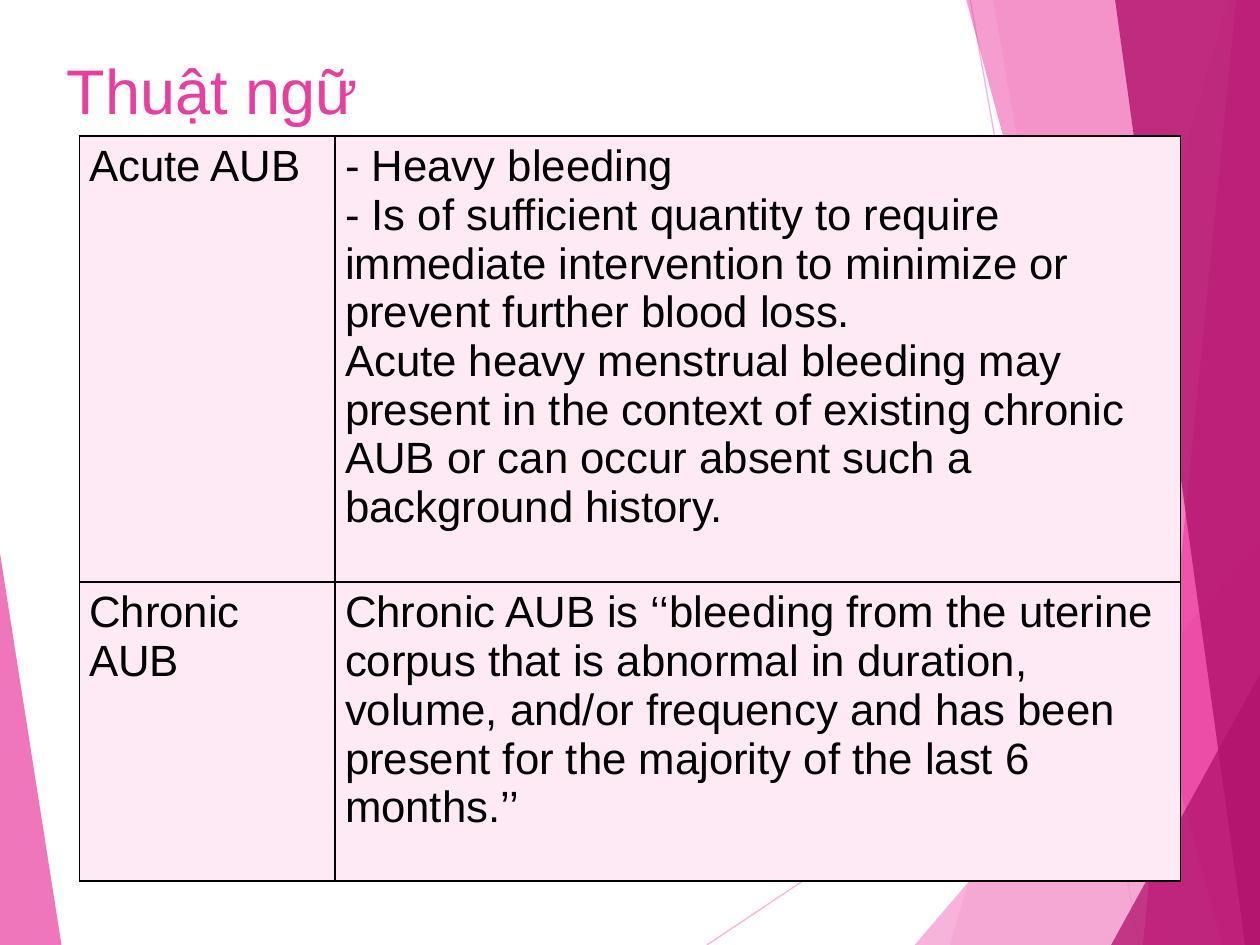
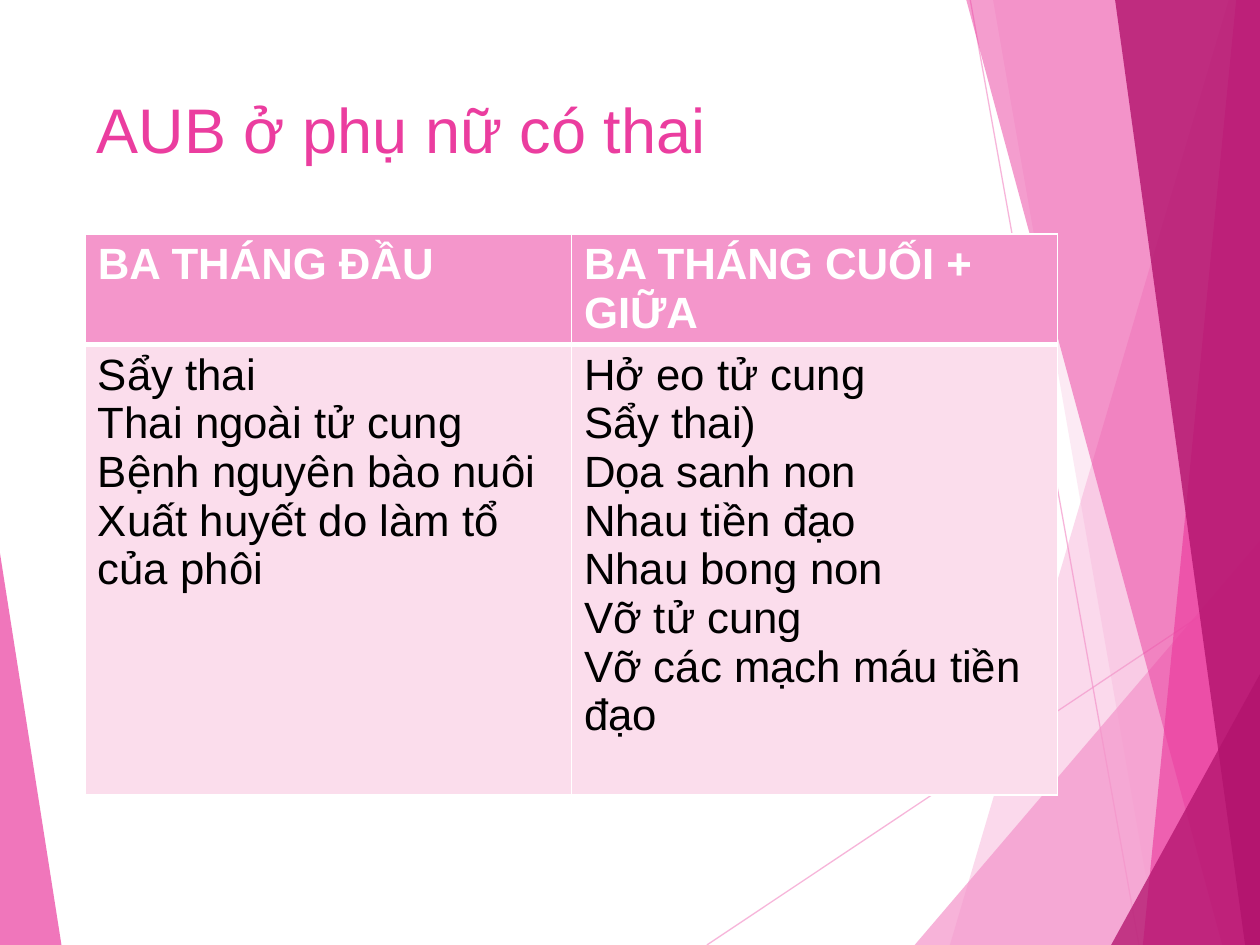
import collections

import lxml.etree
import pptx
import pptx.dml.color
import pptx.enum.shapes
import pptx.enum.text
import pptx.oxml.ns
import pptx.util

Box = collections.namedtuple("Box", "left top width height")
Cm = pptx.util.Cm
qn = pptx.oxml.ns.qn

COLORS = {
    "light_pink": "F496CB",
    "pink": "EB3D9F",
    "magenta": "B2136D",
    "term_cell": "FDEAF5",
    "cause_cell": "FBDDEC",
    "white": "FFFFFF",
    "black": "000000",
}
FONT = "Arial"
PAGE = Box(0, 0, 25.4, 19.05)

RAYS = [((14.25, 19.05), (25.4, 11.61)), ((19.56, 0), (22.96, 19.05))]
FACETS = [
    ("light_pink", 36, [(24.77, 0), (19.15, 19.05), (25.4, 19.05), (25.4, 0)]),
    ("light_pink", 20, [(20.02, 0), (23.34, 19.05), (25.4, 19.05), (25.4, 0)]),
    ("light_pink", 72, [(18.44, 19.05), (25.4, 10.9), (25.4, 19.05)]),
    ("pink", 50, [(19.48, 0), (24.64, 19.05), (25.4, 19.05), (25.4, 0)]),
    ("pink", 66, [(24.92, 0), (23.04, 19.05), (25.4, 19.05), (25.4, 0)]),
    ("magenta", 80, [(22.48, 0), (25.1, 19.05), (25.4, 19.05), (25.4, 0)]),
    ("magenta", 76, [(22.4, 19.05), (25.4, 13.59), (25.4, 19.05)]),
    ("pink", 70, [(0, 11.15), (1.24, 19.05), (0, 19.05)]),
]

TERMS = [
    ["Acute AUB",
     "- Heavy bleeding\n"
     "- Is of sufficient quantity to require immediate intervention to minimize "
     "or prevent further blood loss.\n"
     "Acute heavy menstrual bleeding may present in the context of existing "
     "chronic AUB or can occur absent such a background history."],
    ["Chronic AUB",
     "Chronic AUB is ‘‘bleeding from the uterine corpus that is abnormal in "
     "duration, volume, and/or frequency and has been present for the majority "
     "of the last 6 months.’’"],
]
CAUSES = [
    ["BA THÁNG ĐẦU", "BA THÁNG CUỐI + GIỮA"],
    ["Sẩy thai\nThai ngoài tử cung\nBệnh nguyên bào nuôi\n"
     "Xuất huyết do làm tổ của phôi",
     "Hở eo tử cung\nSẩy thai)\nDọa sanh non\nNhau tiền đạo\nNhau bong non\n"
     "Vỡ tử cung\nVỡ các mạch máu tiền đạo"],
]


def rgb(name):
    """Return the named colour."""
    return pptx.dml.color.RGBColor.from_string(COLORS[name])


def set_opacity(shape, percent):
    """Make the only solid colour of a shape partly transparent."""
    color = shape.element.xpath("./p:spPr//a:solidFill/a:srgbClr")[0]
    lxml.etree.SubElement(color, qn("a:alpha"), val=str(percent * 1000))


def add_ray(slide, box, start, end):
    """Draw one thin line across the box."""
    ends = [Cm(value) for x, y in (start, end)
            for value in (box.left + x, box.top + y)]
    ray = slide.shapes.add_connector(
        pptx.enum.shapes.MSO_CONNECTOR.STRAIGHT, *ends)
    ray.line.color.rgb = rgb("light_pink")
    ray.line.width = pptx.util.Pt(0.75)
    set_opacity(ray, 70)
    lxml.etree.SubElement(ray.element.spPr, qn("a:effectLst"))
    return ray


def add_facet(slide, box, color, opacity, corners):
    """Draw one translucent polygon in the box."""
    points = [(Cm(box.left + x), Cm(box.top + y)) for x, y in corners]
    builder = slide.shapes.build_freeform(*points[0])
    builder.add_line_segments(points[1:], close=True)
    facet = builder.convert_to_shape()
    facet.shadow.inherit = False
    facet.line.fill.background()
    facet.fill.solid()
    facet.fill.fore_color.rgb = rgb(color)
    set_opacity(facet, opacity)
    return facet


def decorate_layout(slide, box):
    """Draw the facets and move them behind everything on the slide's layout."""
    shapes = [add_ray(slide, box, *ray) for ray in RAYS]
    shapes += [add_facet(slide, box, *facet) for facet in FACETS]
    tree = slide.slide_layout.shapes.element
    for index, shape in enumerate(shapes):
        shape.element.xpath("./*/p:cNvPr")[0].set("id", str(100 + index))
        tree.insert(2 + index, shape.element)


def format_text(text_frame, size, color, bold=False):
    """Left-align a text frame and style all its runs."""
    for paragraph in text_frame.paragraphs:
        paragraph.alignment = pptx.enum.text.PP_ALIGN.LEFT
        for run in paragraph.runs:
            run.font.name = FONT
            run.font.size = pptx.util.Pt(size)
            run.font.bold = bold
            run.font.color.rgb = rgb(color)


def add_title(slide, box, text):
    """Place and style the title placeholder."""
    title = slide.shapes.title
    title.left, title.top, title.width, title.height = map(Cm, box)
    title.text_frame.text = text
    title.text_frame.word_wrap = True
    title.text_frame.auto_size = pptx.enum.text.MSO_AUTO_SIZE.NONE
    title.text_frame.vertical_anchor = pptx.enum.text.MSO_ANCHOR.TOP
    format_text(title.text_frame, 36, "pink")


def set_borders(cell, color, widths):
    """Give the left, right, top and bottom edges of a cell their widths."""
    properties = cell._tc.get_or_add_tcPr()
    for side, width in zip("LRTB", widths):
        line = lxml.etree.SubElement(
            properties, qn(f"a:ln{side}"), w=str(pptx.util.Pt(width)))
        fill = lxml.etree.SubElement(line, qn("a:solidFill"))
        lxml.etree.SubElement(fill, qn("a:srgbClr"), val=COLORS[color])


def add_table(slide, box, rows, columns, heights):
    """Add a plain table whose columns and rows share out the box."""
    table = slide.shapes.add_table(
        len(rows), len(columns), *map(Cm, box)).table
    table.first_row = table.horz_banding = False
    for column, share in zip(table.columns, columns):
        column.width = Cm(box.width * share / sum(columns))
    for row, share in zip(table.rows, heights):
        row.height = Cm(box.height * share / sum(heights))
    for row, texts in zip(table.rows, rows):
        for cell, text in zip(row.cells, texts):
            cell.text_frame.text = text
    return table


def fill_cell(cell, color):
    """Fill a cell with one colour."""
    cell.fill.solid()
    cell.fill.fore_color.rgb = rgb(color)


def add_terms_table(slide, box):
    """Add the table of terms and their definitions."""
    table = add_table(slide, box, TERMS, [2.03, 6.71], [3.54, 2.37])
    for cell in table.iter_cells():
        cell.margin_left = cell.margin_right = Cm(0.2)
        set_borders(cell, "black", [1, 1, 1, 1])
        fill_cell(cell, "term_cell")
        format_text(cell.text_frame, 25, "black")


def add_causes_table(slide, box):
    """Add the table of causes by stage of pregnancy."""
    table = add_table(slide, box, CAUSES, [1, 1], [0.87, 3.58])
    table.first_row = True
    for cell in table.rows[0].cells:
        set_borders(cell, "white", [1, 1, 1, 3])
        fill_cell(cell, "light_pink")
        format_text(cell.text_frame, 25, "white", bold=True)
    for cell in table.rows[1].cells:
        set_borders(cell, "white", [1, 1, 3, 1])
        fill_cell(cell, "cause_cell")
        format_text(cell.text_frame, 25, "black")


def main():
    """Build and save the presentation."""
    presentation = pptx.Presentation()
    presentation.slide_width = Cm(PAGE.width)
    presentation.slide_height = Cm(PAGE.height)
    layout = presentation.slide_layouts.get_by_name("Title Only")

    terms_slide = presentation.slides.add_slide(layout)
    decorate_layout(terms_slide, PAGE)
    add_title(terms_slide, Box(1.09, 0.91, 17.63, 1.83), "Thuật ngữ")
    add_terms_table(terms_slide, Box(1.6, 2.74, 22.2, 15.02))

    causes_slide = presentation.slides.add_slide(layout)
    add_title(causes_slide, Box(1.7, 1.7, 17.63, 3.66), "AUB ở phụ nữ có thai")
    add_causes_table(causes_slide, Box(1.72, 4.72, 19.6, 11.3))

    presentation.save("out.pptx")


if __name__ == "__main__":
    main()
